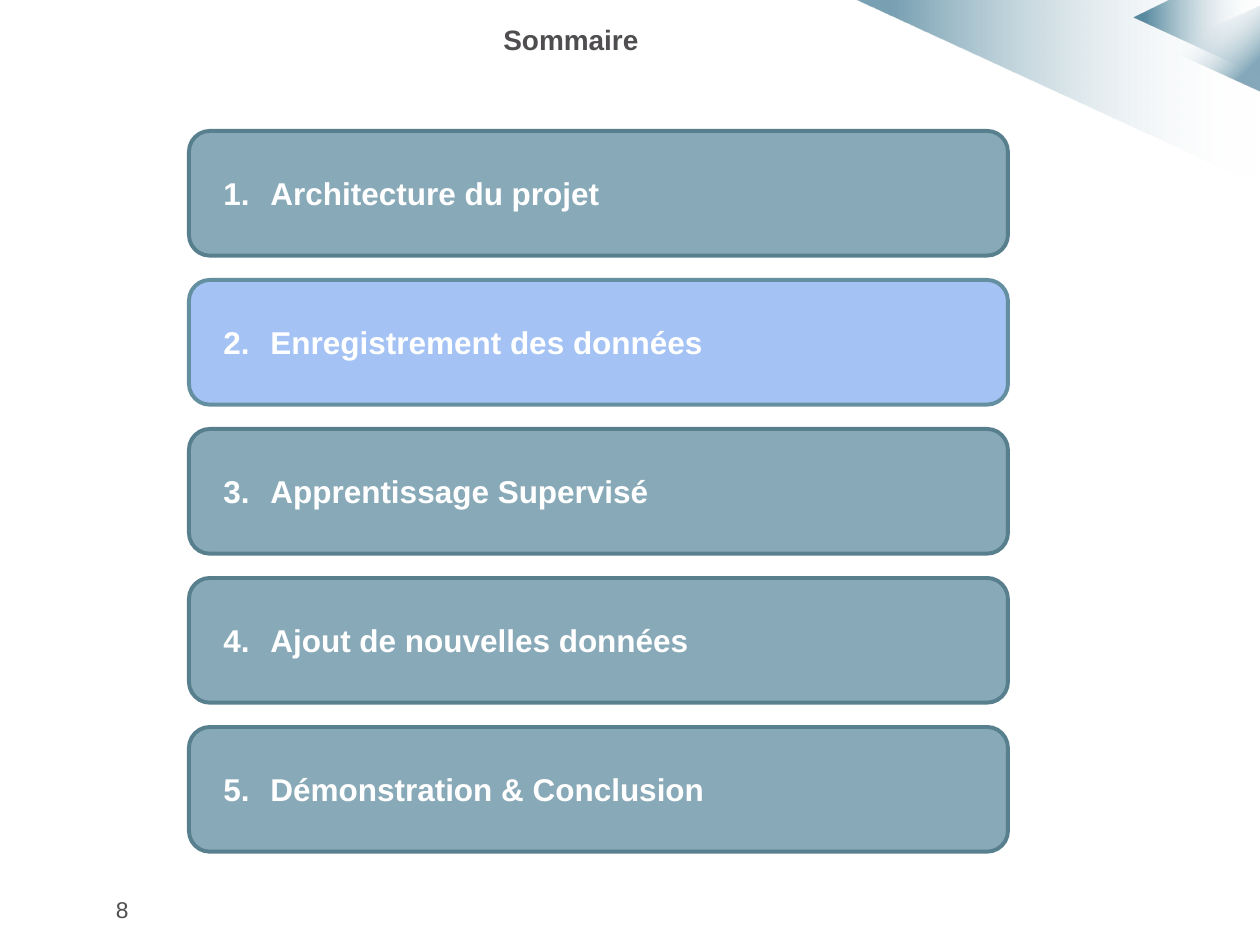
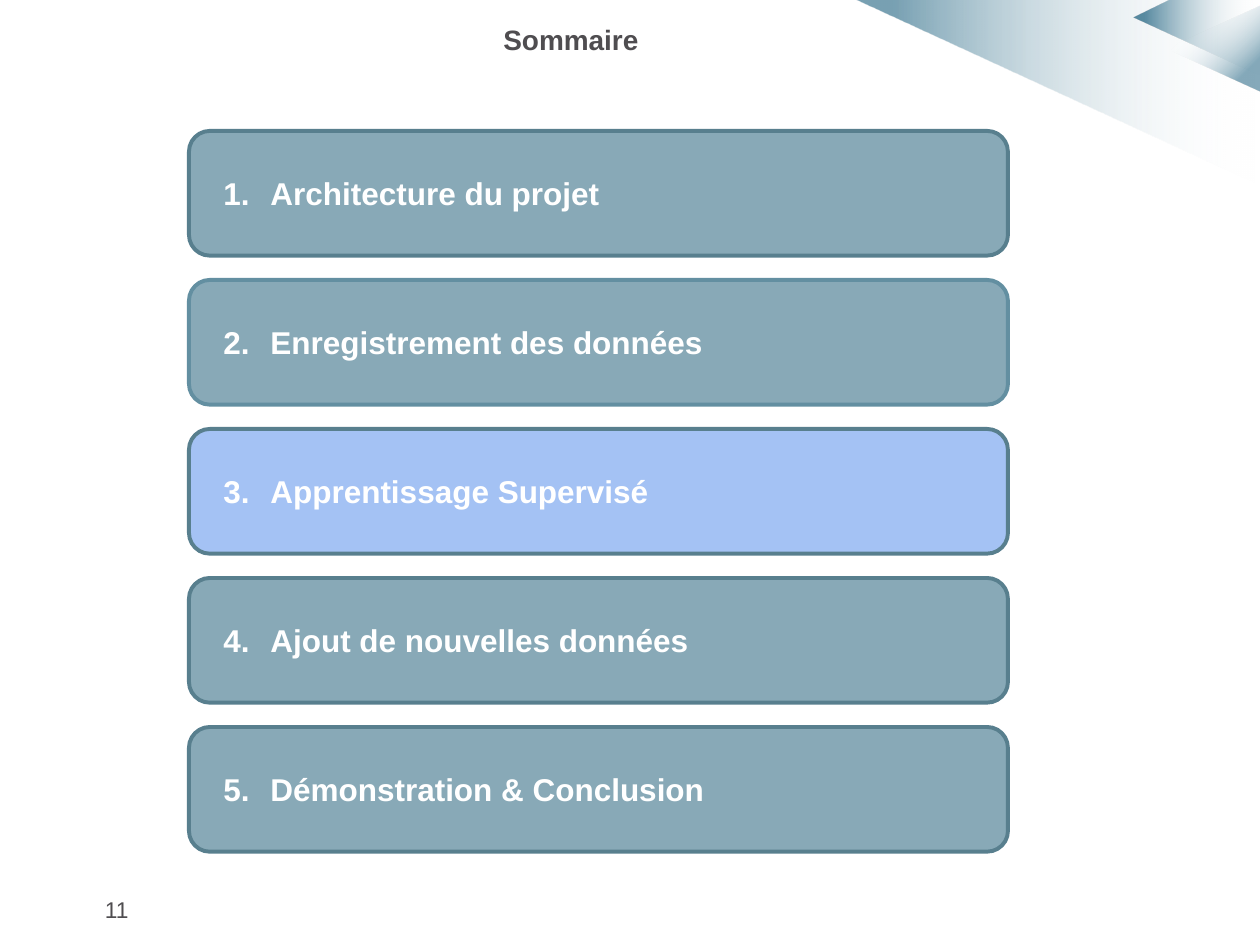
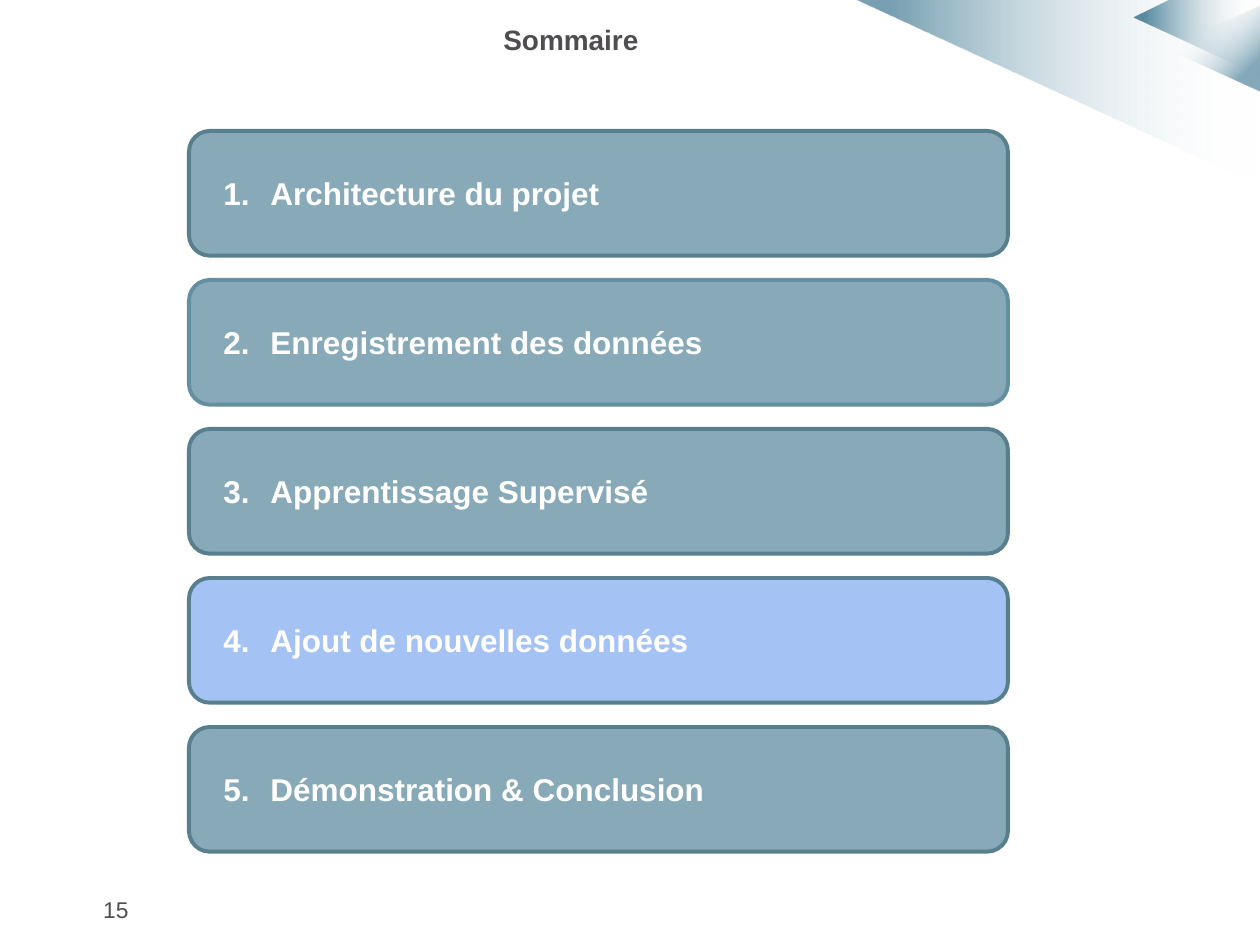
from lxml.etree import SubElement as Sub
from pptx import Presentation as Deck
from pptx.dml.color import RGBColor as Rgb
from pptx.enum.shapes import MSO_SHAPE as Kind
from pptx.enum.text import MSO_ANCHOR as Anchor, PP_ALIGN as Align
from pptx.oxml.ns import qn
from pptx.util import Cm, Pt

HUES = {
    "white": "FFFFFF",
    "deep": "004D6F",
    "steel": "638FA1",
    "edge": "587F8E",
    "light": "A4C2F4",
    "ink": "4F4D50",
}
FONT = "Arial"
WIDE, HIGH = 25.4, 19.05
ITEMS = [
    ("Architecture du projet", "edge"),
    ("Enregistrement des données", "steel"),
    ("Apprentissage Supervisé", "edge"),
    ("Ajout de nouvelles données", "edge"),
    ("Démonstration & Conclusion", "edge"),
]
PAGES = [("8", 2), ("11", 3), ("15", 4)]


def hue(name):
    return Rgb.from_string(HUES[name])


def style(para, size, color, bold=False):
    for run in para.runs:
        font = run.font
        font.name, font.size, font.bold = FONT, Pt(size), bold
        font.color.rgb = hue(color)


def inset(frame, side, top):
    frame.word_wrap = True
    frame.margin_left = frame.margin_right = Cm(side)
    frame.margin_top = frame.margin_bottom = Cm(top)


def fade(shape, stops, angle):
    shape.shadow.inherit = False
    shape.line.fill.background()
    shape.fill.gradient()
    grad = shape.element.spPr.find(qn("a:gradFill"))
    grad.find(qn("a:lin")).set("ang", str(angle * 60000))
    marks = grad.find(qn("a:gsLst"))
    for mark in list(marks):
        marks.remove(mark)
    for place, name, alpha in stops:
        mark = Sub(marks, qn("a:gs"), pos=str(place * 1000))
        color = Sub(mark, qn("a:srgbClr"), val=HUES[name])
        Sub(color, qn("a:alpha"), val=str(alpha * 1000))


def wedge(slide, right, top, points, alpha):
    spots = [(Cm(right - x), Cm(top + y)) for x, y in points]
    form = slide.shapes.build_freeform(*spots[0], scale=1)
    form.add_line_segments(spots[1:], close=True)
    stops = [(0, "deep", alpha), (9, "deep", alpha),
             (99, "white", 0), (100, "white", 0)]
    fade(form.convert_to_shape(), stops, 0)


def corner(slide, right, top):
    wedge(slide, right, top, [(0, 3.73), (8.15, 0), (0, 0)], 53)
    wedge(slide, right, top,
          [(0, 1.52), (2.54, 0.36), (1.8, 0), (0, 0)], 63)
    tip = slide.shapes.add_shape(Kind.ISOSCELES_TRIANGLE, Cm(right - 1.8),
                                 Cm(top + 0.03), Cm(1.73), Cm(1.9))
    tip.rotation = 270
    fade(tip, [(0, "white", 0), (27, "white", 0),
               (81, "deep", 48), (100, "deep", 48)], 135)


def label(slide, box, text, size, align, top, bold=False):
    frame = slide.shapes.add_textbox(*map(Cm, box)).text_frame
    inset(frame, 0.25, top)
    frame.text = text
    para = frame.paragraphs[0]
    para.alignment = align
    style(para, size, "ink", bold)
    return para


def card(slide, box, num, text, edge, active):
    shape = slide.shapes.add_shape(Kind.ROUNDED_RECTANGLE, *map(Cm, box))
    shape.shadow.inherit = False
    shape.fill.solid()
    shape.fill.fore_color.rgb = hue("light" if active else "steel")
    if not active:
        solid = shape.element.spPr.find(qn("a:solidFill"))
        Sub(solid[0], qn("a:alpha"), val="76000")
    shape.line.color.rgb = hue(edge)
    shape.line.width = Pt(2.25)
    frame = shape.text_frame
    inset(frame, 0.25, 0.25)
    frame.vertical_anchor = Anchor.MIDDLE
    frame.text = text
    para = frame.paragraphs[0]
    para.alignment = Align.LEFT
    style(para, 18, "white", True)
    props = para._p.get_or_add_pPr()
    props.set("marL", str(Cm(1.27)))
    props.set("indent", str(Cm(-0.95)))
    Sub(Sub(props, qn("a:buClr")), qn("a:srgbClr"), val=HUES["white"])
    Sub(props, qn("a:buAutoNum"), type="arabicPeriod", startAt=str(num))


def menu(slide, box, active):
    left, top, width, height = box
    gap = 0.49
    tall = (height - gap * (len(ITEMS) - 1)) / len(ITEMS)
    for num, (text, edge) in enumerate(ITEMS, 1):
        spot = (left, top + (num - 1) * (tall + gap), width, tall)
        card(slide, spot, num, text, edge, num == active)


def agenda(deck, page, active):
    slide = deck.slides.add_slide(deck.slide_layouts[6])
    corner(slide, WIDE, 0)
    menu(slide, (3.81, 2.64, 16.51, 14.53), active)
    label(slide, (1.32, 17.81, 1.52, 1.45), page, 13, Align.RIGHT, 0.25)
    title = label(slide, (5.11, 0.33, 12.8, 1.17), "Sommaire", 16,
                  Align.CENTER, 0.13, True)
    title.space_before = Pt(3.2)


def main():
    deck = Deck()
    deck.slide_width, deck.slide_height = Cm(WIDE), Cm(HIGH)
    for page, active in PAGES:
        agenda(deck, page, active)
    deck.save("out.pptx")


if __name__ == "__main__":
    main()
